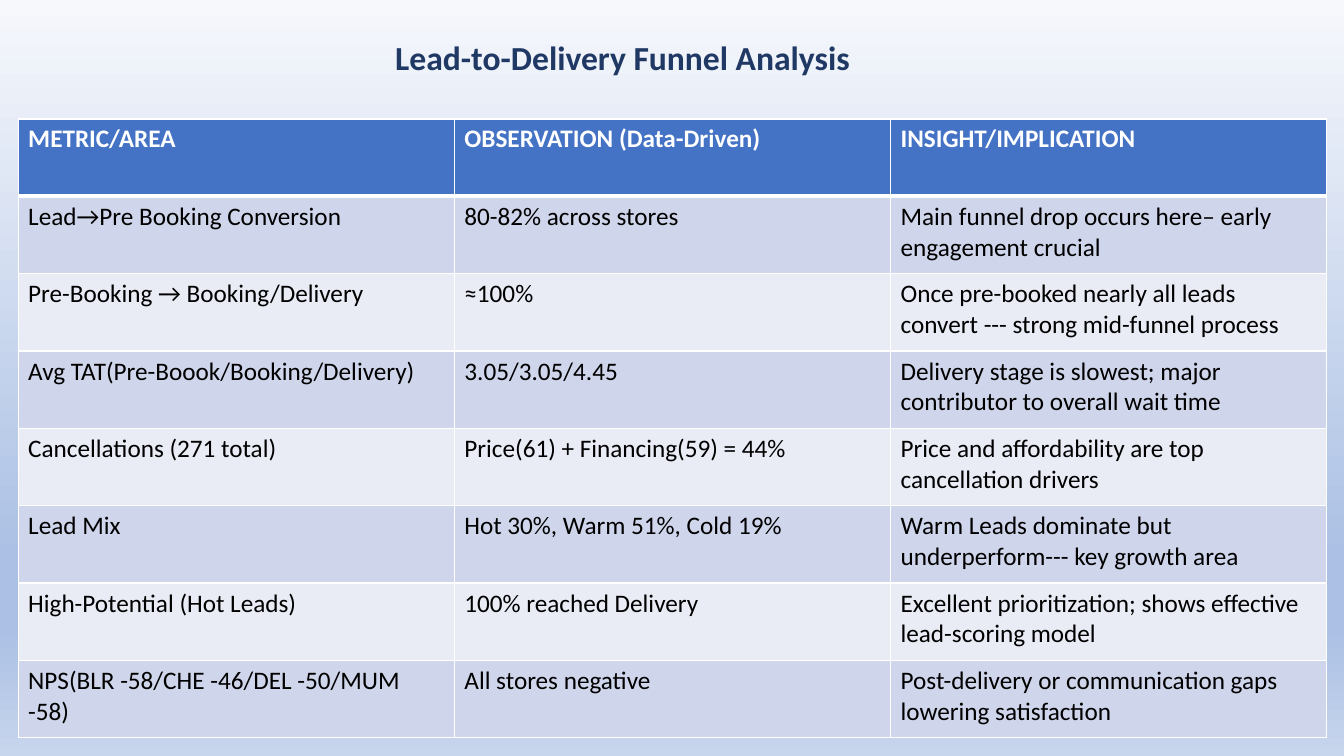
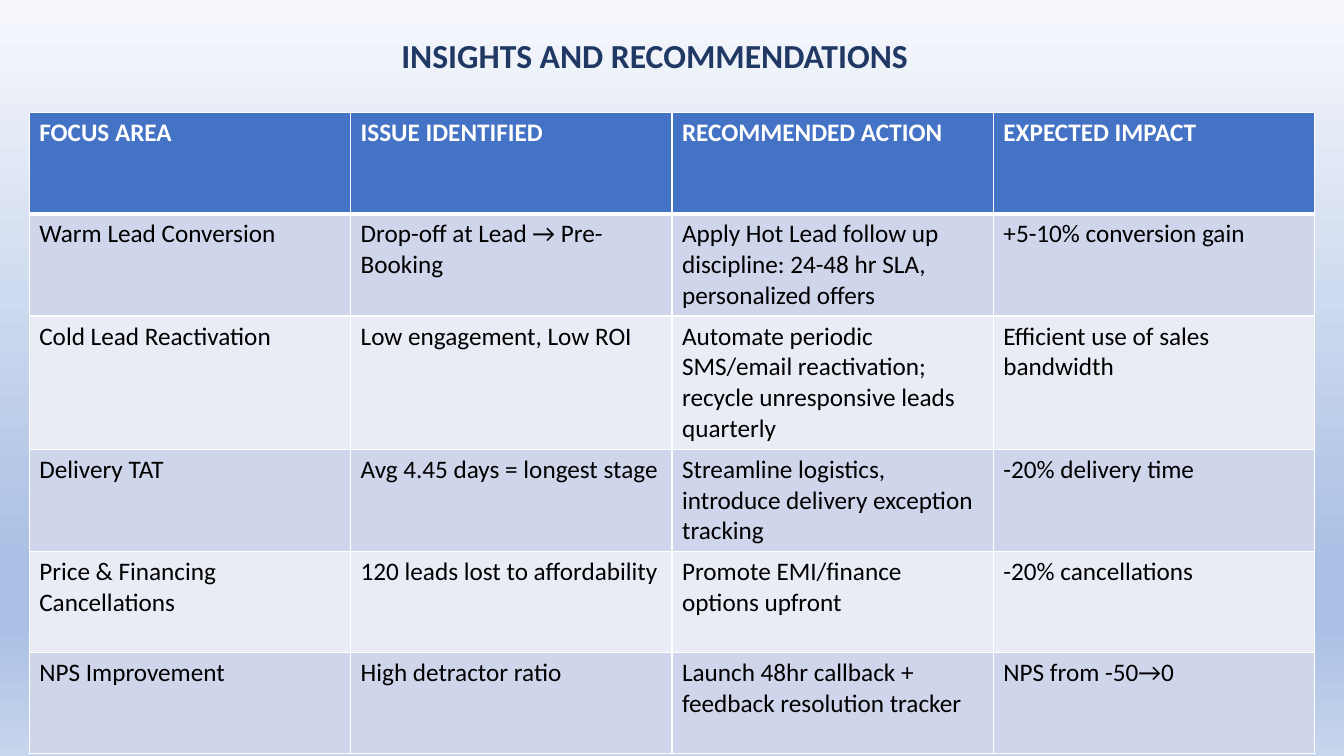
from lxml.etree import SubElement
from pptx import Presentation
from pptx.dml.color import RGBColor
from pptx.enum.text import MSO_ANCHOR, MSO_AUTO_SIZE, PP_ALIGN
from pptx.oxml.ns import qn
from pptx.util import Inches, Pt

FONT = "Calibri"
NAVY, BLUE, WHITE, BLACK = "203864", "4472C4", "FFFFFF", "000000"
BANDS = ["E9EBF5", "CFD5EA"]
BACKGROUND = [(0, "F6F8FC"), (74, "ABC0E4"), (83, "ABC0E4"), (100, "C7D5ED")]

# title, its left, top and width; table left, top, width and height; rows
SLIDES = [
    ("Lead-to-Delivery Funnel Analysis", (3.82, 0.32, 7.89), (0.18, 1.18, 12.98, 6.14), [
        ("METRIC/AREA", "OBSERVATION (Data-Driven)", "INSIGHT/IMPLICATION"),
        ("Lead→Pre Booking Conversion", "80-82% across stores",
         "Main funnel drop occurs here– early engagement crucial"),
        ("Pre-Booking → Booking/Delivery", "≈100%",
         "Once pre-booked nearly all leads convert --- strong mid-funnel process"),
        ("Avg TAT(Pre-Boook/Booking/Delivery)", "3.05/3.05/4.45",
         "Delivery stage is slowest; major contributor to overall wait time"),
        ("Cancellations (271 total)", "Price(61) + Financing(59) = 44%",
         "Price and affordability are top cancellation drivers"),
        ("Lead Mix", "Hot 30%, Warm 51%, Cold 19%",
         "Warm Leads dominate but underperform--- key growth area"),
        ("High-Potential (Hot Leads)", "100% reached Delivery",
         "Excellent prioritization; shows effective lead-scoring model"),
        ("NPS(BLR -58/CHE -46/DEL -50/MUM -58)", "All stores negative",
         "Post-delivery or communication gaps lowering satisfaction"),
    ]),
    ("INSIGHTS AND RECOMMENDATIONS", (3.88, 0.3, 7.93), (0.29, 1.12, 12.75, 6), [
        ("FOCUS AREA", "ISSUE IDENTIFIED", "RECOMMENDED ACTION", "EXPECTED IMPACT"),
        ("Warm Lead Conversion", "Drop-off at Lead → Pre-Booking",
         "Apply Hot Lead follow up discipline: 24-48 hr SLA, personalized offers",
         "+5-10% conversion gain"),
        ("Cold Lead Reactivation", "Low engagement, Low ROI",
         "Automate periodic SMS/email reactivation; recycle unresponsive leads quarterly",
         "Efficient use of sales bandwidth"),
        ("Delivery TAT", "Avg 4.45 days = longest stage",
         "Streamline logistics, introduce delivery exception tracking",
         "-20% delivery time"),
        ("Price & Financing Cancellations", "120 leads lost to affordability",
         "Promote EMI/finance options upfront", "-20% cancellations"),
        ("NPS Improvement", "High detractor ratio",
         "Launch 48hr callback + feedback resolution tracker", "NPS from -50→0"),
    ]),
]


def add_run(p, text, size, color, bold):
    r = p.add_run()
    r.text = text
    r.font.name, r.font.size, r.font.bold = FONT, Pt(size), bold
    r.font.color.rgb = RGBColor.from_string(color)


def set_borders(cell, widths):
    """Draw white cell borders; widths are points by side (L, R, T, B)."""
    tcPr = cell._tc.get_or_add_tcPr()
    for i, (side, width) in enumerate(widths.items()):
        ln = tcPr.makeelement(qn("a:ln" + side), {"w": str(Pt(width))})
        SubElement(SubElement(ln, qn("a:solidFill")), qn("a:srgbClr"), val=WHITE)
        tcPr.insert(i, ln)


prs = Presentation()
prs.slide_width, prs.slide_height = Inches(13.33), Inches(7.5)

# Background shared through the master
fill = prs.slide_master.background.fill
fill.gradient()
fill.gradient_angle = 270
stops = prs.slide_master.element.find(".//" + qn("a:gsLst"))
for gs in list(stops):
    stops.remove(gs)
for pos, color in BACKGROUND:
    gs = SubElement(stops, qn("a:gs"), pos=str(pos * 1000))
    SubElement(gs, qn("a:srgbClr"), val=color)

for title, (left, top, width), box, rows in SLIDES:
    s = prs.slides.add_slide(prs.slide_layouts[5])

    sp = s.shapes.title
    sp.left, sp.top, sp.width, sp.height = map(Inches, (left, top, width, 0.5))
    tf = sp.text_frame
    tf.auto_size = MSO_AUTO_SIZE.NONE
    tf.vertical_anchor = MSO_ANCHOR.MIDDLE
    p = tf.paragraphs[0]
    p.alignment = PP_ALIGN.LEFT
    add_run(p, title, 24, NAVY, True)

    table = s.shapes.add_table(len(rows), len(rows[0]), *map(Inches, box)).table
    for i, row in enumerate(rows):
        header = i == 0
        for j, text in enumerate(row):
            cell = table.cell(i, j)
            cell.fill.solid()
            cell.fill.fore_color.rgb = RGBColor.from_string(BLUE if header else BANDS[i % 2])
            set_borders(cell, {"L": 1, "R": 1, "T": 3 if i == 1 else 1, "B": 3 if header else 1})
            add_run(cell.text_frame.paragraphs[0], text, 18, WHITE if header else BLACK, header)

prs.save("out.pptx")
